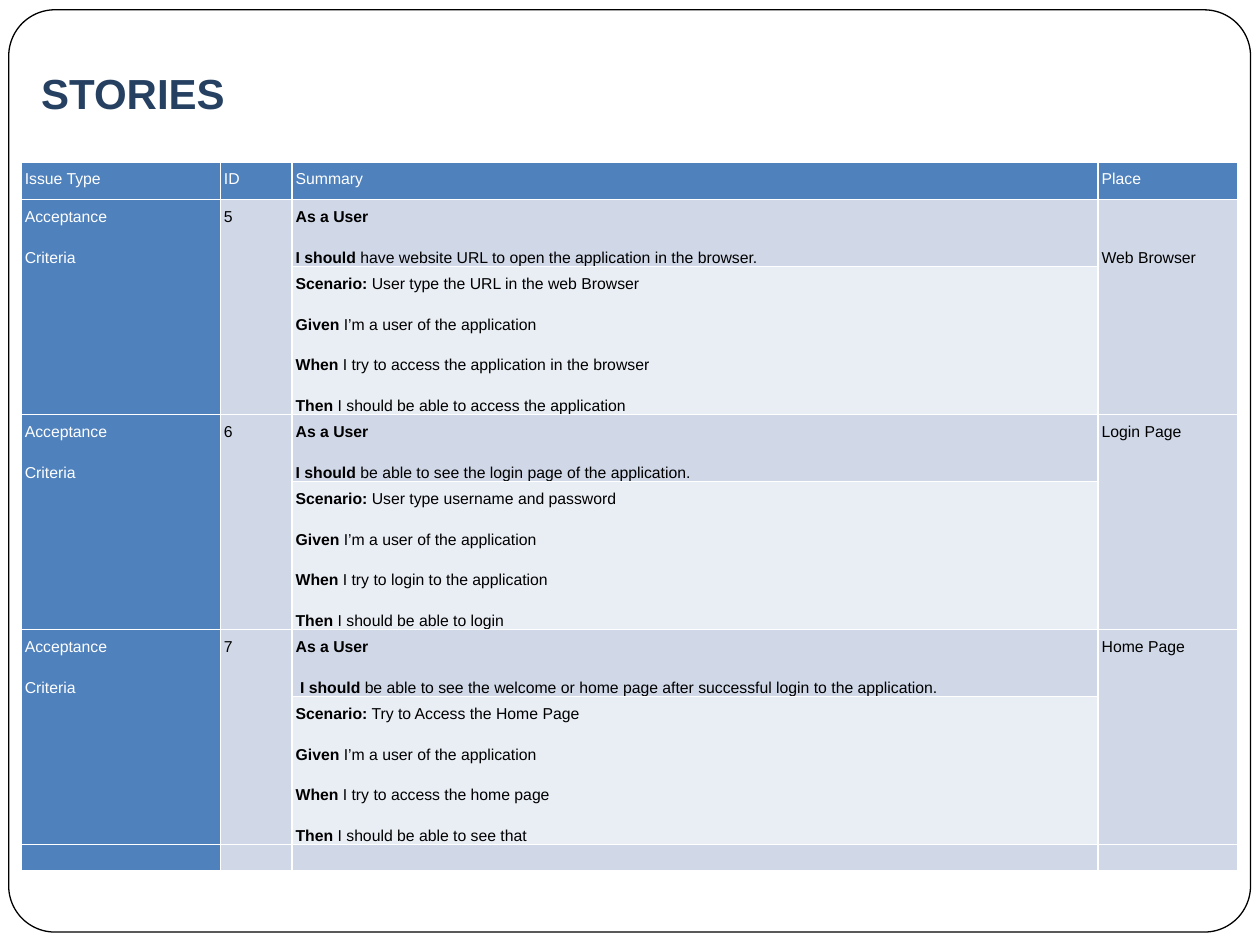
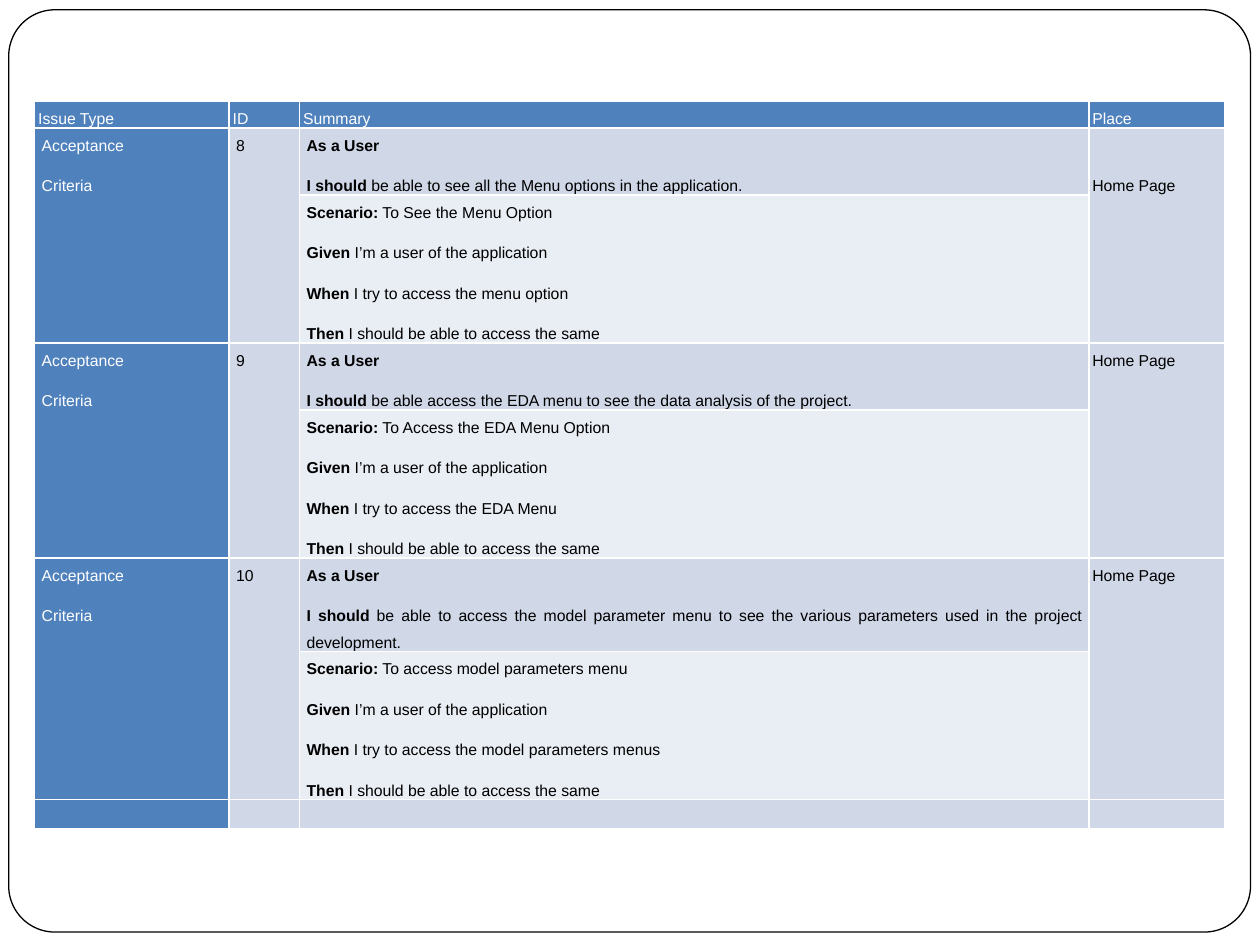
"""Build two slides of user stories, each a table of acceptance criteria."""
import dataclasses

import lxml.etree
import pptx
import pptx.dml.color
import pptx.enum.shapes
import pptx.enum.text
import pptx.oxml.ns
import pptx.util

Pt = pptx.util.Pt
RGBColor = pptx.dml.color.RGBColor
qn = pptx.oxml.ns.qn

NAVY = RGBColor(0x25, 0x40, 0x61)
BLUE = RGBColor(0x4F, 0x81, 0xBD)
PALE_BLUE = RGBColor(0xD0, 0xD8, 0xE8)
PALER_BLUE = RGBColor(0xE9, 0xED, 0xF4)
WHITE = RGBColor(0xFF, 0xFF, 0xFF)
BLACK = RGBColor(0, 0, 0)
FONT = "Arial"
TABLE_SIZE = 9
LINE_STEP = 23.2
HEADINGS = ("Issue Type", "ID", "Summary", "Place")
COLUMN_FILLS = (BLUE, PALE_BLUE, PALE_BLUE, PALE_BLUE)


@dataclasses.dataclass
class Story:
    number: int
    need: str
    place: str
    scenario: str
    action: str
    outcome: str
    need_height: float = 38.2
    place_offset: float = 0

    def need_lines(self):
        start, keyword, rest = self.need.partition("should")
        return [("As a User", ""), (start + keyword, rest)]

    def scenario_lines(self):
        steps = (
            ("Scenario:", self.scenario),
            ("Given", "I’m a user of the application"),
            ("When", self.action),
            ("Then", self.outcome),
        )
        return [(keyword, " " + step) for keyword, step in steps]


def write_text(text_frame, lines, size=TABLE_SIZE, color=BLACK,
               alignment=pptx.enum.text.PP_ALIGN.JUSTIFY, spacing=1.5, after=8):
    """Write lines, each a pair of bold and regular text."""
    for index, line in enumerate(lines):
        paragraph = text_frame.add_paragraph() if index else text_frame.paragraphs[0]
        paragraph.alignment = alignment
        paragraph.line_spacing = spacing
        paragraph.space_after = Pt(after)
        for text, bold in zip(line, (True, False)):
            if text:
                run = paragraph.add_run()
                run.text = text
                run.font.name = FONT
                run.font.size = Pt(size)
                run.font.bold = bold
                run.font.color.rgb = color


class StoryDeck:
    def __init__(self):
        self.presentation = pptx.Presentation()
        self.presentation.slide_width = Pt(720)
        self.presentation.slide_height = Pt(540)
        self.slide = None

    def add_slide(self, layout_name):
        layout = self.presentation.slide_layouts.get_by_name(layout_name)
        self.slide = self.presentation.slides.add_slide(layout)
        self.add_frame()

    def add_frame(self):
        frame = self.slide.shapes.add_shape(
            pptx.enum.shapes.MSO_SHAPE.ROUNDED_RECTANGLE,
            Pt(5), Pt(5.6), Pt(709.6), Pt(527))
        frame.adjustments[0] = 0.05
        frame.shadow.inherit = False
        frame.fill.solid()
        frame.fill.fore_color.rgb = WHITE
        frame.line.color.rgb = BLACK
        frame.line.width = Pt(0.75)
        self.slide.shapes.element.insert(2, frame.element)

    def add_title(self, text):
        title = self.slide.shapes.title
        title.left, title.top, title.width, title.height = Pt(16.3), Pt(23.5), Pt(620), Pt(51)
        text_frame = title.text_frame
        text_frame.vertical_anchor = pptx.enum.text.MSO_ANCHOR.BOTTOM
        text_frame.margin_bottom = Pt(7.2)
        write_text(text_frame, [(text, "")], size=24, color=NAVY,
                   alignment=pptx.enum.text.PP_ALIGN.LEFT, spacing=1, after=0)

    def format_cell(self, cell, fill):
        properties = cell._tc.get_or_add_tcPr()
        for side in ("lnL", "lnR", "lnT", "lnB"):
            border = lxml.etree.SubElement(properties, qn("a:" + side), w=str(Pt(1)))
            border_fill = lxml.etree.SubElement(border, qn("a:solidFill"))
            lxml.etree.SubElement(border_fill, qn("a:srgbClr"), val=str(WHITE))
        cell.fill.solid()
        cell.fill.fore_color.rgb = fill
        cell.margin_top = cell.margin_bottom = Pt(0)

    def fill_cell(self, cell, lines, inset, color=BLACK):
        cell.margin_left = cell.margin_right = Pt(inset)
        write_text(cell.text_frame, lines, color=color)

    def add_story_table(self, stories, left, top, widths, header_height,
                        last_height, inset):
        heights = [header_height]
        for story in stories:
            heights += [story.need_height, 84.5]
        heights.append(last_height)
        table = self.slide.shapes.add_table(
            len(heights), len(widths), Pt(left), Pt(top),
            Pt(sum(widths)), Pt(sum(heights))).table
        table.first_row = table.horz_banding = False
        for column, width in zip(table.columns, widths):
            column.width = Pt(width)
        for index, (row, height) in enumerate(zip(table.rows, heights)):
            row.height = Pt(height)
            for cell, fill in zip(row.cells, COLUMN_FILLS):
                self.format_cell(cell, BLUE if index == 0 else fill)
        for cell, heading in zip(table.rows[0].cells, HEADINGS):
            self.fill_cell(cell, [("", heading)], 2, WHITE)
        for index, story in enumerate(stories):
            self.add_story(table, 1 + 2 * index, story, inset)
        for cell in table.rows[len(heights) - 1].cells:
            lxml.etree.SubElement(cell.text_frame.paragraphs[0]._p,
                                  qn("a:endParaRPr"), sz=str(TABLE_SIZE * 100))

    def add_story(self, table, row, story, inset):
        for column in (0, 1, 3):
            table.cell(row, column).merge(table.cell(row + 1, column))
        issue, number, need, place = table.rows[row].cells
        scenario = table.cell(row + 1, 2)
        self.fill_cell(issue, [("", "Acceptance"), ("", "Criteria")], inset, WHITE)
        self.fill_cell(number, [("", str(story.number))], inset)
        self.fill_cell(need, story.need_lines(), inset)
        self.fill_cell(place, [("", story.place)], 2)
        place.margin_top = Pt(story.place_offset)
        self.fill_cell(scenario, story.scenario_lines(), inset)
        scenario.fill.fore_color.rgb = PALER_BLUE


ACCESS_STORIES = (
    Story(5, "I should have website URL to open the application in the browser.",
          "Web Browser", "User type the URL in the web Browser",
          "I try to access the application in the browser",
          "I should be able to access the application", place_offset=LINE_STEP),
    Story(6, "I should be able to see the login page of the application.",
          "Login Page", "User type username and password",
          "I try to login to the application", "I should be able to login"),
    Story(7, " I should be able to see the welcome or home page after successful "
          "login to the application.",
          "Home Page", "Try to Access the Home Page",
          "I try to access the home page", "I should be able to see that"),
)
MENU_STORIES = (
    Story(8, "I should be able to see all the Menu options in the application.",
          "Home Page", "To See the Menu Option", "I try to access the menu option",
          "I should be able to access the same", place_offset=LINE_STEP),
    Story(9, "I should be able access the EDA menu to see the data analysis of the project.",
          "Home Page", "To Access the EDA Menu Option", "I try to access the EDA Menu",
          "I should be able to access the same"),
    Story(10, "I should be able to access the model parameter menu to see the various "
          "parameters used in the project development.",
          "Home Page", "To access model parameters menu",
          "I try to access the model parameters menus",
          "I should be able to access the same", need_height=53.2),
)


def main():
    deck = StoryDeck()
    deck.add_slide("Title Only")
    deck.add_title("STORIES")
    deck.add_story_table(ACCESS_STORIES, left=12.2, top=92.5,
                         widths=(113.8, 41, 460.6, 79.6),
                         header_height=21.6, last_height=14.8, inset=2)
    deck.add_slide("Blank")
    deck.add_story_table(MENU_STORIES, left=19.8, top=58,
                         widths=(111.2, 40.2, 451, 77.6),
                         header_height=15, last_height=17, inset=4)
    deck.presentation.save("out.pptx")


if __name__ == "__main__":
    main()
